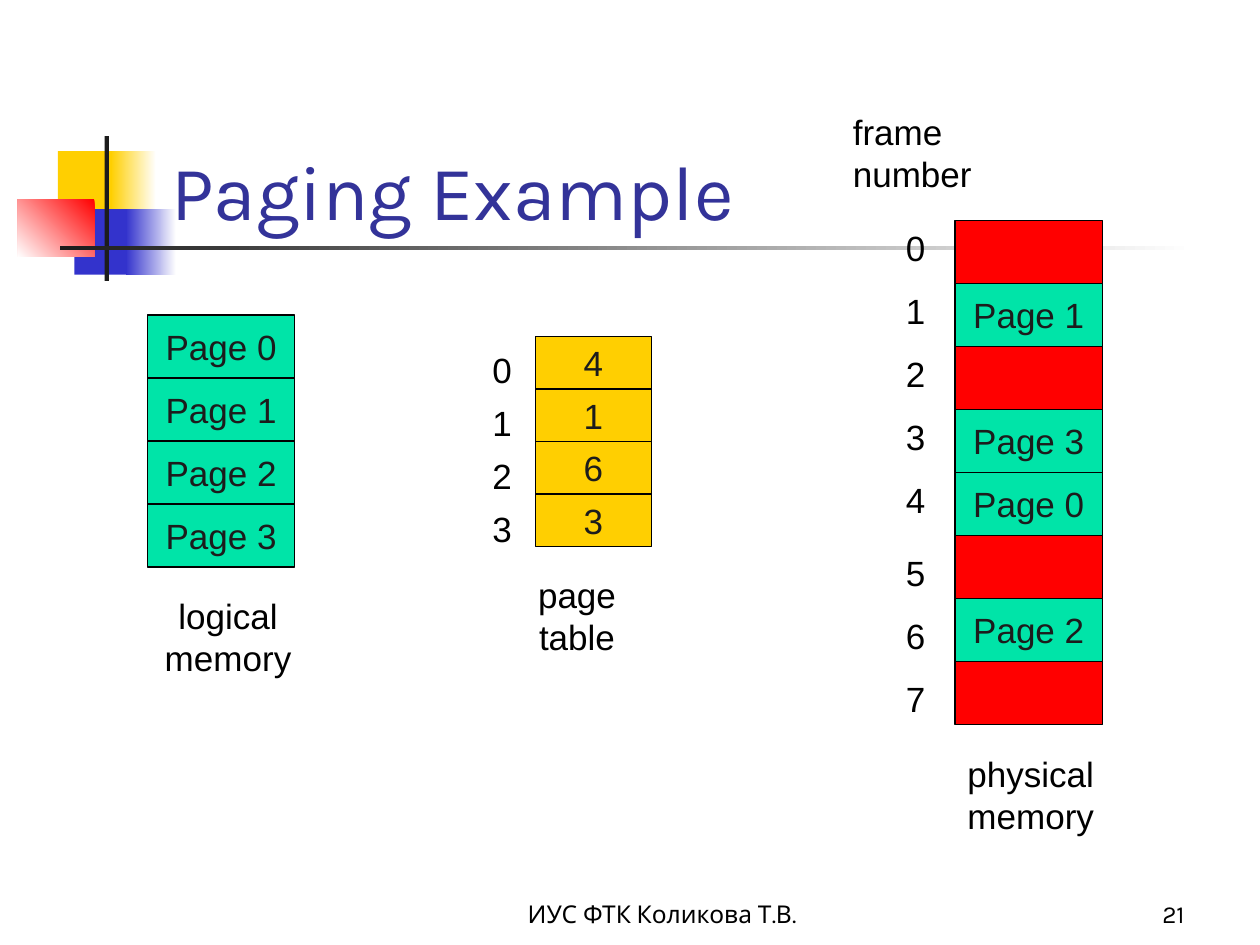
import pptx
import pptx.dml.color
import pptx.enum.shapes
import pptx.enum.text
import pptx.util

Inches = pptx.util.Inches
Pt = pptx.util.Pt
RGBColor = pptx.dml.color.RGBColor
ALIGN = pptx.enum.text.PP_ALIGN
ANCHOR = pptx.enum.text.MSO_ANCHOR

WHITE = RGBColor(0xFF, 0xFF, 0xFF)
BLACK = RGBColor(0x00, 0x00, 0x00)
INK = RGBColor(0x1C, 0x1C, 0x1C)
TITLE_BLUE = RGBColor(0x33, 0x33, 0x99)
BLUE = RGBColor(0x33, 0x33, 0xCC)
YELLOW = RGBColor(0xFF, 0xCF, 0x01)
GREEN = RGBColor(0x00, 0xE4, 0xA8)
RED = RGBColor(0xFF, 0x00, 0x00)

# Place, then one colour, or a gradient's first colour, last colour and
# counter-clockwise angle
DECORATION = [
    ((0.46, 1.2, 0.48, 0.52), (YELLOW,)),
    ((0.88, 1.2, 0.36, 0.52), (WHITE, YELLOW, 180)),
    ((0.59, 1.66, 0.46, 0.52), (BLUE,)),
    ((1, 1.66, 0.4, 0.52), (WHITE, BLUE, 180)),
    ((0.14, 1.58, 0.61, 0.46), (RED, WHITE, 225)),
    ((0.83, 1.08, 0.035, 1.15), (INK,)),
    ((0.48, 1.95, 9, 0.035), (WHITE, INK, 180)),
]

LOGICAL_MEMORY = ["Page 0", "Page 1", "Page 2", "Page 3"]
PAGE_TABLE = ["4", "1", "6", "3"]
PHYSICAL_MEMORY = ["", "Page 1", "", "Page 3", "Page 0", "", "Page 2", ""]

# Left, top, cell width, cell height, cell texts, fill of used cells
STACKS = [
    (1.17, 2.5, 1.17, 0.5, LOGICAL_MEMORY, GREEN),
    (4.25, 2.67, 0.92, 0.417, PAGE_TABLE, YELLOW),
    (7.58, 1.75, 1.17, 0.5, PHYSICAL_MEMORY, GREEN),
]

# Left, top, step, numbers
INDEXES = [
    (3.81, 2.72, 0.42, range(4)),
    (7.09, 1.75, 0.5, range(5)),
    (7.09, 4.33, 0.5, range(5, 8)),
]

CAPTIONS = [
    ((1.19, 4.67, 1.24, 0.77), "logical\nmemory", ALIGN.CENTER),
    ((4.15, 4.5, 0.86, 0.77), "page\ntable", ALIGN.CENTER),
    ((7.58, 5.92, 1.24, 0.77), "physical\nmemory", ALIGN.LEFT),
    ((6.67, 0.83, 1.18, 0.77), "frame\nnumber", ALIGN.LEFT),
]

# Place, text, size, colour, alignment
PAGE_TEXTS = [
    ((1.26, 0.67, 8.52, 1.25), "Paging Example", 44, TITLE_BLUE, ALIGN.LEFT),
    ((3.67, 6.92, 3.17, 0.5), "ИУС ФТК Коликова Т.В.", 14, BLACK, ALIGN.CENTER),
    ((7.42, 6.92, 2.08, 0.5), "21", 14, BLACK, ALIGN.RIGHT),
]


def write(shape, text, align, anchor, size=20, name="Arial", color=BLACK, wrap=False):
    frame = shape.text_frame
    frame.word_wrap = wrap
    frame.vertical_anchor = anchor
    paragraph = frame.paragraphs[0]
    paragraph.text = text
    paragraph.alignment = align
    paragraph.font.size = Pt(size)
    paragraph.font.name = name
    paragraph.font.color.rgb = color


def add_rectangle(page, place, color, last_color=None, angle=0):
    """Add a borderless rectangle; a last colour makes its fill a gradient."""
    shape = page.shapes.add_shape(
        pptx.enum.shapes.MSO_SHAPE.RECTANGLE, *map(Inches, place))
    shape.shadow.inherit = False
    shape.line.fill.background()
    if last_color is None:
        shape.fill.solid()
        shape.fill.fore_color.rgb = color
    else:
        shape.fill.gradient()
        shape.fill.gradient_angle = angle
        for stop, stop_color in zip(shape.fill.gradient_stops, (color, last_color)):
            stop.color.rgb = stop_color
    return shape


def add_stack(page, left, top, width, height, texts, used_color):
    """Add touching cells from top to bottom; cells without text are red."""
    for row, text in enumerate(texts):
        place = (left, top + row * height, width, height)
        cell = add_rectangle(page, place, used_color if text else RED)
        cell.line.color.rgb = BLACK
        cell.line.width = Pt(0.75)
        if text:
            write(cell, text, ALIGN.CENTER, ANCHOR.MIDDLE, color=INK)


def add_label(page, place, text, align=ALIGN.LEFT):
    box = page.shapes.add_textbox(*map(Inches, place))
    write(box, text, align, ANCHOR.TOP)
    box.text_frame.auto_size = pptx.enum.text.MSO_AUTO_SIZE.SHAPE_TO_FIT_TEXT


def main():
    deck = pptx.Presentation()
    deck.slide_width, deck.slide_height = Inches(10), Inches(7.5)
    page = deck.slides.add_slide(deck.slide_layouts[6])

    for place, colors in DECORATION:
        add_rectangle(page, place, *colors)
    for place, text, size, color, align in PAGE_TEXTS:
        box = page.shapes.add_textbox(*map(Inches, place))
        write(box, text, align, ANCHOR.BOTTOM, size, "Karla", color, wrap=True)
    for stack in STACKS:
        add_stack(page, *stack)
    for left, top, step, numbers in INDEXES:
        for row, number in enumerate(numbers):
            add_label(page, (left, top + row * step, 0.35, 0.44), str(number))
    for caption in CAPTIONS:
        add_label(page, *caption)

    deck.save("out.pptx")


if __name__ == "__main__":
    main()
